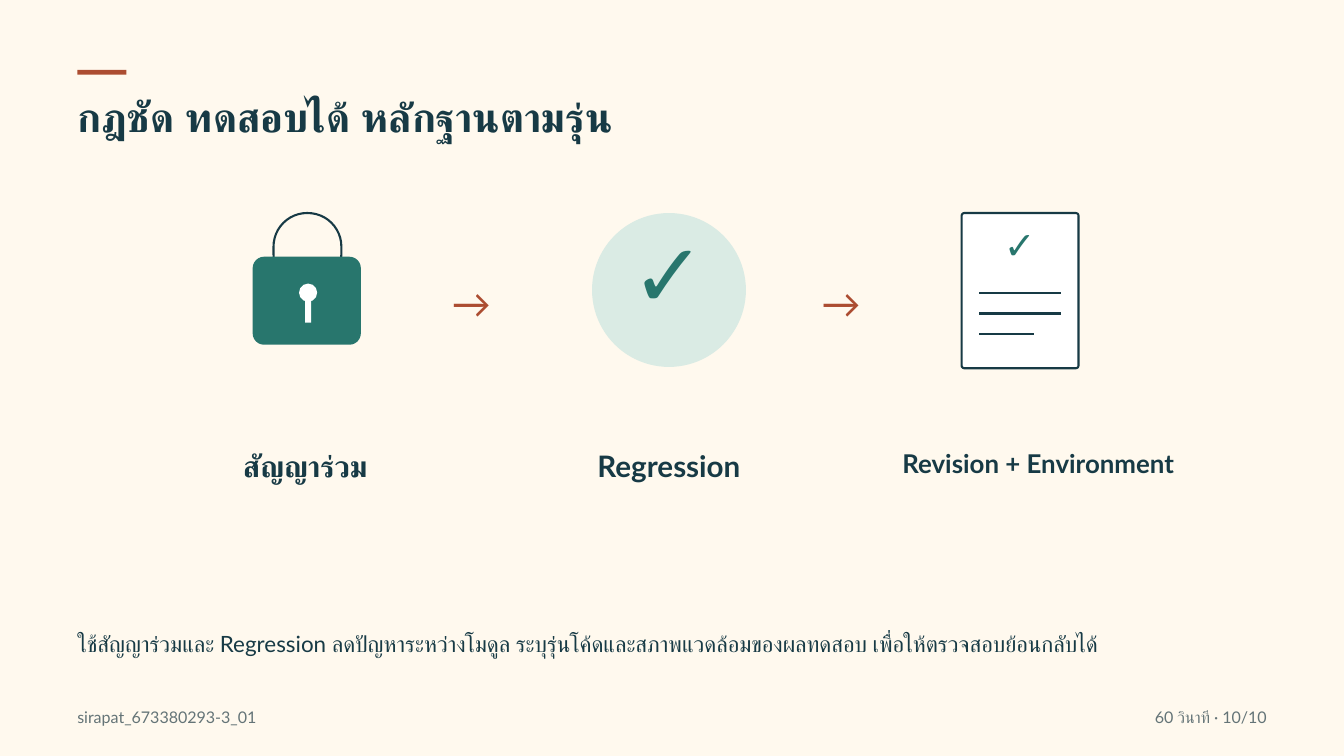
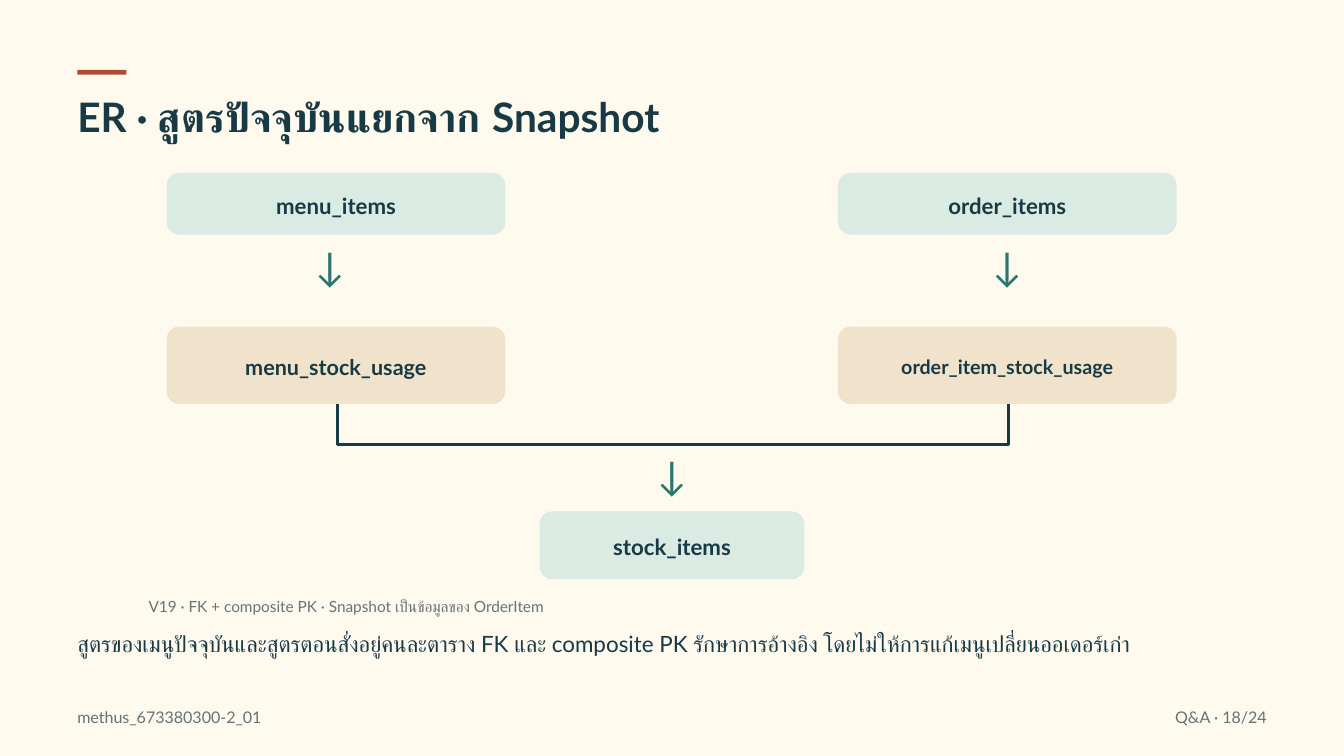
from lxml import etree
from pptx import Presentation
from pptx.dml.color import RGBColor
from pptx.enum.shapes import MSO_CONNECTOR, MSO_SHAPE
from pptx.enum.text import MSO_ANCHOR, PP_ALIGN
from pptx.oxml.ns import qn
from pptx.util import Inches, Pt

LEFT, CENTER, RIGHT = PP_ALIGN.LEFT, PP_ALIGN.CENTER, PP_ALIGN.RIGHT
TOP, MIDDLE = MSO_ANCHOR.TOP, MSO_ANCHOR.MIDDLE
RECTANGLE, OVAL = MSO_SHAPE.RECTANGLE, MSO_SHAPE.OVAL
ROUNDED = MSO_SHAPE.ROUNDED_RECTANGLE
STRAIGHT = MSO_CONNECTOR.STRAIGHT

CREAM, WHITE, INK, GREY = "FFF9EE", "FFFFFF", "173A45", "647477"
RUST, TEAL, MINT, SAND = "AC4D31", "28766D", "DAEBE4", "F1E3CB"
FONT, SYMBOL_FONT = "Lato", "DejaVu Sans"
LINE_RATIO = 1.34
MARGIN = 1.15
RULE = 0.04
ARROW_SIZE, ARROW_HEIGHT = 42.2, 0.85

PIPELINE = {
    "title": "กฎชัด ทดสอบได้ หลักฐานตามรุ่น",
    "summary": "ใช้สัญญาร่วมและ Regression ลดปัญหาระหว่างโมดูล "
               "ระบุรุ่นโค้ดและสภาพแวดล้อมของผลทดสอบ เพื่อให้ตรวจสอบย้อนกลับได้",
    "author": "sirapat_673380293-3_01",
    "page": "60 วินาที · 10/10",
}
# text, left, top, width, height, size
STEP_LABELS = [
    ("สัญญาร่วม", 2.53, 6.6, 4.03, 0.64, 31.7),
    ("Regression", 7.94, 6.6, 4.03, 0.64, 31.7),
    ("Revision + Environment", 13.02, 6.61, 4.86, 0.56, 27.7),
]
STEP_ARROWS = [5.96, 11.46]

ER_DIAGRAM = {
    "title": "ER · สูตรปัจจุบันแยกจาก Snapshot",
    "summary": "สูตรของเมนูปัจจุบันและสูตรตอนสั่งอยู่คนละตาราง "
               "FK และ composite PK รักษาการอ้างอิง "
               "โดยไม่ให้การแก้เมนูเปลี่ยนออเดอร์เก่า",
    "author": "methus_673380300-2_01",
    "page": "Q&A · 18/24",
}
# text, centre, top, width, height, fill, size
ENTITIES = [
    ("menu_items", 5, 2.57, 5.04, 0.92, MINT, 23.8),
    ("order_items", 14.99, 2.57, 5.04, 0.92, MINT, 23.8),
    ("menu_stock_usage", 5, 4.86, 5.04, 1.15, SAND, 23.1),
    ("order_item_stock_usage", 14.99, 4.86, 5.04, 1.15, SAND, 21.1),
    ("stock_items", 10, 7.61, 3.94, 1.01, MINT, 23.8),
]
# centre, top
ENTITY_ARROWS = [(4.91, 3.52), (14.99, 3.52), (10, 6.63)]
SCHEMA_NOTE = "V19 · FK + composite PK · Snapshot เป็นข้อมูลของ OrderItem"


def color(hex_code):
    return RGBColor.from_string(hex_code)


def write(shape, text, size, ink=INK, bold=False, align=LEFT, font=FONT, anchor=TOP):
    frame = shape.text_frame
    frame.word_wrap = True
    frame.vertical_anchor = anchor
    frame.margin_left = frame.margin_right = 0
    frame.margin_top = frame.margin_bottom = 0
    paragraph = frame.paragraphs[0]
    paragraph.alignment = align
    paragraph.line_spacing = Pt(round(size * LINE_RATIO, 1))
    run = paragraph.add_run()
    run.text = text
    run.font.name = font
    run.font.size = Pt(size)
    run.font.bold = bold
    run.font.color.rgb = color(ink)


def add_text(slide, box, text, size, **style):
    write(slide.shapes.add_textbox(*map(Inches, box)), text, size, **style)


def add_shape(slide, kind, box, fill=None, line=None, radius=None):
    shape = slide.shapes.add_shape(kind, *map(Inches, box))
    shape.shadow.inherit = False
    if fill:
        shape.fill.solid()
        shape.fill.fore_color.rgb = color(fill)
    else:
        shape.fill.background()
    if line:
        shape.line.color.rgb = color(line)
        shape.line.width = Pt(2.25)
    else:
        shape.line.fill.background()
    if radius is not None:
        shape.adjustments[0] = radius / min(box[2:])
    return shape


def add_rule(slide, x1, y1, x2, y2):
    connector = slide.shapes.add_connector(STRAIGHT, *map(Inches, (x1, y1, x2, y2)))
    connector.line.color.rgb = color(INK)
    connector.line.width = Inches(RULE)
    properties = connector._element.find(qn("p:spPr"))
    etree.SubElement(properties, qn("a:effectLst"))


def add_slide(presentation, content):
    """Add a slide with the shared accent, title, summary and footer."""
    slide = presentation.slides.add_slide(presentation.slide_layouts[5])
    slide.background.fill.solid()
    slide.background.fill.fore_color.rgb = color(CREAM)
    add_shape(slide, RECTANGLE, (MARGIN, 1.04, 0.73, 0.07), RUST)
    title = slide.shapes.title
    title.left, title.top = Inches(MARGIN), Inches(1.29)
    title.width, title.height = Inches(17.81), Inches(0.87)
    write(title, content["title"], 43.5, bold=True)
    add_text(slide, (MARGIN, 9.33, 17.71, 0.93), content["summary"], 24)
    add_text(slide, (MARGIN, 10.5, 13.02, 0.34), content["author"], 17.2, ink=GREY)
    add_text(slide, (15.31, 10.5, 3.54, 0.34), content["page"], 17.2, ink=GREY,
             align=RIGHT)
    return slide


def add_check(slide, box, size):
    add_text(slide, box, "✓", size, ink=TEAL, bold=True, align=CENTER,
             font=SYMBOL_FONT)


def add_padlock(slide):
    add_shape(slide, ROUNDED, (4.07, 3.17, 1.01, 1.11), line=INK, radius=0.5)
    add_shape(slide, ROUNDED, (3.76, 3.82, 1.61, 1.31), TEAL, radius=0.17)
    add_shape(slide, OVAL, (4.45, 4.22, 0.27, 0.27), WHITE)
    add_shape(slide, RECTANGLE, (4.54, 4.41, 0.09, 0.39), WHITE)


def add_report(slide):
    add_shape(slide, ROUNDED, (14.31, 3.17, 1.74, 2.31), WHITE, INK, 0.04)
    add_check(slide, (14.52, 3.22, 1.31, 0.83), 40.8)
    for row, length in enumerate((1.22, 1.22, 0.82)):
        y = 4.36 + row * 0.305
        add_rule(slide, 14.57, y, 14.57 + length, y)


def build_pipeline(presentation):
    slide = add_slide(presentation, PIPELINE)
    add_padlock(slide)
    add_shape(slide, OVAL, (8.81, 3.17, 2.29, 2.29), MINT)
    add_check(slide, (9.15, 3.06, 1.61, 1.93), 95.7)
    add_report(slide)
    for left in STEP_ARROWS:
        add_text(slide, (left, 4.07, 2.11, ARROW_HEIGHT), "→", ARROW_SIZE,
                 ink=RUST, align=CENTER)
    for text, *box, size in STEP_LABELS:
        add_text(slide, box, text, size, bold=True, align=CENTER)


def build_er_diagram(presentation):
    slide = add_slide(presentation, ER_DIAGRAM)
    for text, center, top, width, height, fill, size in ENTITIES:
        box = (center - width / 2, top, width, height)
        entity = add_shape(slide, ROUNDED, box, fill, radius=0.19)
        write(entity, text, size, bold=True, align=CENTER, anchor=MIDDLE)
    left, right, top, bottom = 5.02, 15.01, 6.01, 6.62
    add_rule(slide, left, bottom, right, bottom)
    for x in (left, right):
        add_rule(slide, x, top, x, bottom)
    for center, top in ENTITY_ARROWS:
        add_text(slide, (center - 0.78, top, 1.56, ARROW_HEIGHT), "↓", ARROW_SIZE,
                 ink=TEAL, align=CENTER)
    add_text(slide, (2.21, 8.86, 15.58, 0.34), SCHEMA_NOTE, 16.5, ink=GREY)


def main():
    presentation = Presentation()
    presentation.slide_width = Inches(20)
    presentation.slide_height = Inches(11.25)
    build_pipeline(presentation)
    build_er_diagram(presentation)
    presentation.save("out.pptx")


if __name__ == "__main__":
    main()
